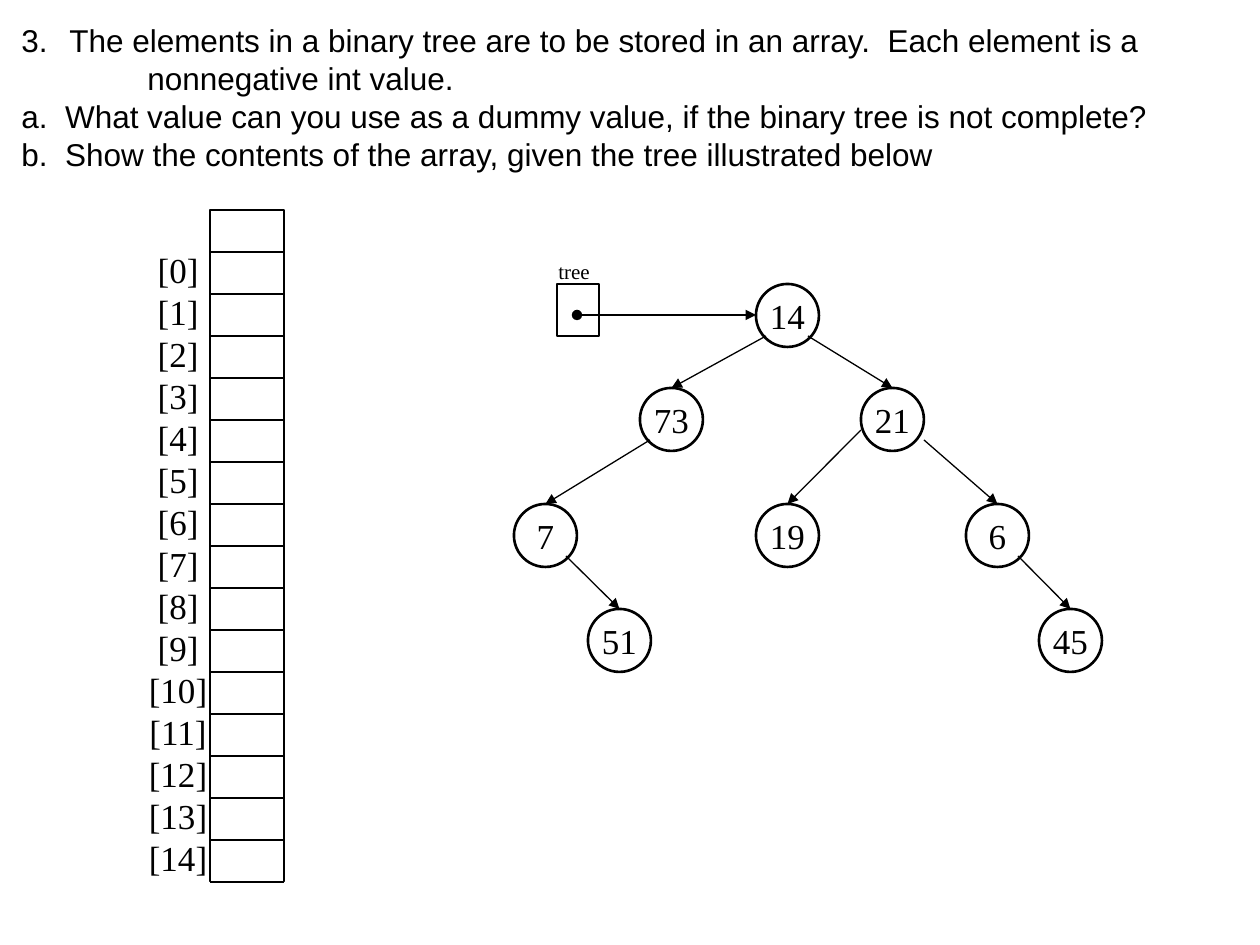
from lxml import etree
from pptx import Presentation
from pptx.dml.color import RGBColor
from pptx.enum.shapes import MSO_CONNECTOR as CONN, MSO_SHAPE as SHAPE
from pptx.enum.text import MSO_ANCHOR as ANCHOR, PP_ALIGN as ALIGN
from pptx.oxml.ns import qn
from pptx.util import Emu, Pt

BLACK = RGBColor(0, 0, 0)
SERIF, SANS = "Times New Roman", "Arial"
SCALE = 914400 // 126  # EMU per pixel


def px(n):
    return Emu(round(n * SCALE))


def write(sp, lines, size=20, font=SERIF, align=ALIGN.LEFT,
          anchor=ANCHOR.TOP, spacing=None):
    """Fill a shape with one paragraph per line, without wrapping."""
    tf = sp.text_frame
    tf.word_wrap = False
    tf.vertical_anchor = anchor
    for i, text in enumerate(lines):
        p = tf.paragraphs[0] if i == 0 else tf.add_paragraph()
        p.alignment = align
        if spacing:
            p.line_spacing = Pt(spacing)
        r = p.add_run()
        r.text = text
        r.font.size, r.font.name = Pt(size), font
        r.font.color.rgb = BLACK
    return tf


def text_box(shapes, x, y, w, h, lines, **fmt):
    return write(shapes.add_textbox(px(x), px(y), px(w), px(h)), lines, **fmt)


def outline(shapes, kind, x, y, w, h, width=0.75):
    sp = shapes.add_shape(kind, px(x), px(y), px(w), px(h))
    sp.shadow.inherit = False
    sp.fill.background()
    sp.line.color.rgb, sp.line.width = BLACK, Pt(width)
    return sp


def line(shapes, x1, y1, x2, y2, head=None, tail=None):
    c = shapes.add_connector(CONN.STRAIGHT, px(x1), px(y1), px(x2), px(y2))
    c.line.color.rgb, c.line.width = BLACK, Pt(0.75)
    ln = c.line._get_or_add_ln()
    for tag, end in (("a:headEnd", head), ("a:tailEnd", tail)):
        if end:
            etree.SubElement(ln, qn(tag), type=end)
    etree.SubElement(c._element.spPr, qn("a:effectLst"))


def question(shapes, x, y, w, h):
    """Numbered question with its two parts."""
    tf = text_box(shapes, x, y, w, h, [
        "The elements in a binary tree are to be stored in an array.  Each element is a ",
        "nonnegative int value.",
        "a.  What value can you use as a dummy value, if the binary tree is not complete? ",
        "b.  Show the contents of the array, given the tree illustrated below",
    ], size=18, font=SANS, spacing=21.6)
    hang = 48
    for p, left in zip(tf.paragraphs, (hang, hang + 126, hang, hang)):
        pPr = p._p.get_or_add_pPr()
        pPr.set("marL", str(px(left)))
        pPr.set("indent", str(-px(hang)))
    tf.paragraphs[1].level = 1
    etree.SubElement(tf.paragraphs[0]._p.pPr, qn("a:buAutoNum"),
                     type="arabicPeriod", startAt="3")


def array(shapes, x, y, w, row, count):
    """Column of empty cells, with index labels beside all but the first."""
    g = shapes.add_group_shape().shapes
    outline(g, SHAPE.RECTANGLE, x, y, w, row * count)
    text_box(g, x - 74, y + 32, 84, 649, [f"[{i}]" for i in range(count - 1)],
             align=ALIGN.CENTER, spacing=24)
    for i in range(1, count + 1):
        line(g, x, y + row * i, x + w, y + row * i)


def tree(shapes, x, y):
    """Binary tree with its pointer, relative to the top left corner."""
    size = 63
    nodes = {"14": (242, 32), "73": (126, 136), "21": (347, 136),
             "7": (0, 252), "51": (74, 357), "19": (242, 252),
             "6": (452, 252), "45": (525, 357)}
    left, right = (10, 52), (52, 52)  # where an edge leaves its parent
    edges = [("14", "73", left), ("14", "21", right), ("73", "7", left),
             ("21", "19", (0, 42)), ("7", "51", right),
             ("21", "6", (63, 52)), ("6", "45", right)]
    for value, (nx, ny) in nodes.items():
        sp = outline(shapes, SHAPE.OVAL, x + nx, y + ny, size, size, 1.5)
        write(sp, [value], align=ALIGN.CENTER, anchor=ANCHOR.MIDDLE)
    for parent, child, (dx, dy) in edges:
        (ax, ay), (bx, by) = nodes[parent], nodes[child]
        line(shapes, x + ax + dx, y + ay + dy, x + bx + size / 2, y + by,
             tail="triangle")
    # Pointer to the root
    outline(shapes, SHAPE.RECTANGLE, x + 43, y + 32, 42, 52)
    line(shapes, x + 63, y + 63, x + 242, y + 63, head="oval", tail="triangle")
    text_box(shapes, x + 32, y, 57, 38, ["tree"], size=12)


prs = Presentation()
prs.slide_width, prs.slide_height = px(1260), px(945)
slide = prs.slides.add_slide(prs.slide_layouts[6])
question(slide.shapes, 9, 15, 1197, 165)
tree(slide.shapes, 514, 252)
array(slide.shapes, 210, 210, 74, 42, 16)
prs.save("out.pptx")
